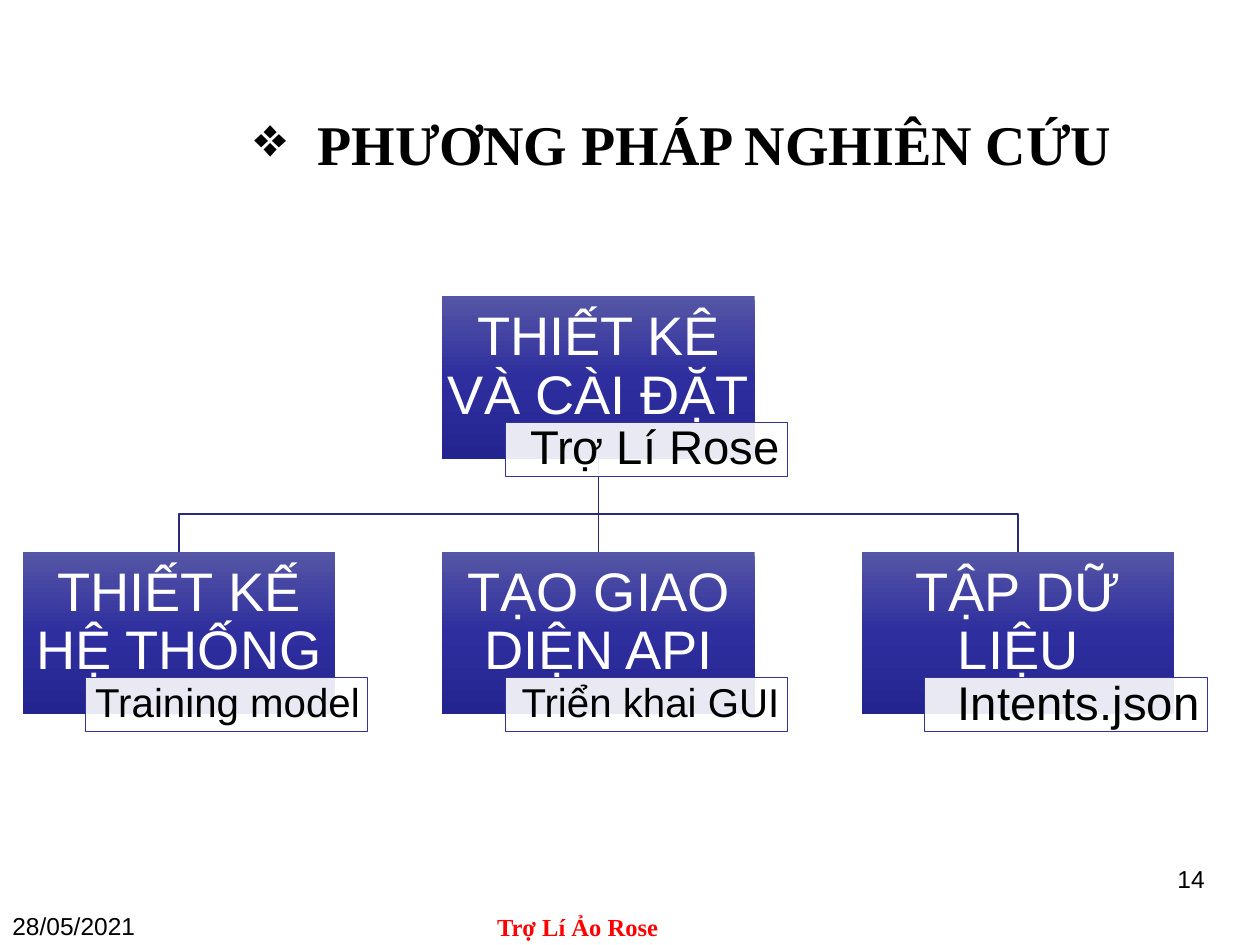
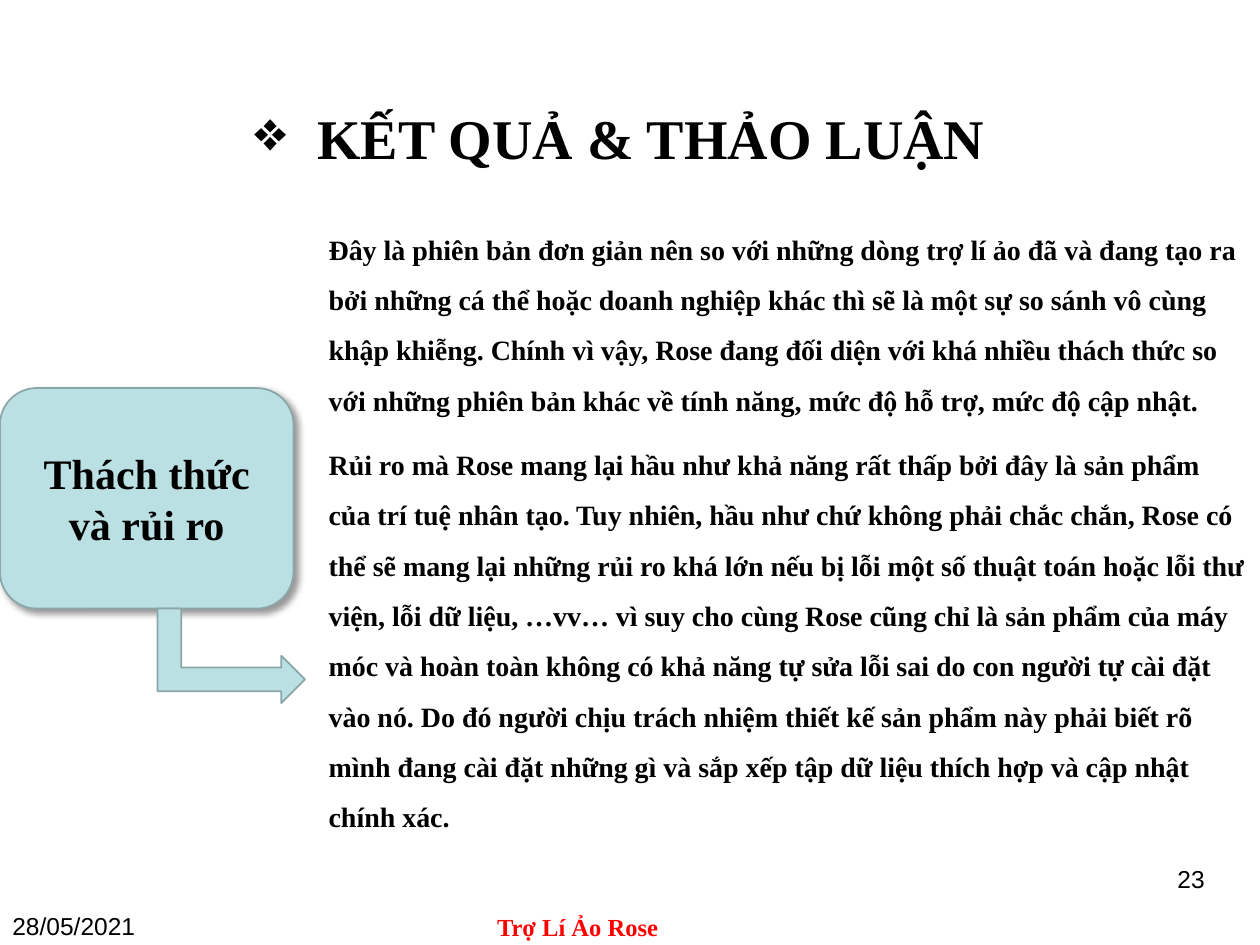
"""Build two slides on a virtual assistant: method tree and discussion."""
from pptx import Presentation
from pptx.dml.color import RGBColor
from pptx.enum.shapes import MSO_CONNECTOR, MSO_SHAPE
from pptx.enum.text import MSO_ANCHOR, PP_ALIGN
from pptx.oxml import parse_xml
from pptx.oxml.ns import nsdecls, qn
from pptx.util import Inches, Pt

RECT, ROUND, BENT = MSO_SHAPE.RECTANGLE, MSO_SHAPE.ROUNDED_RECTANGLE, MSO_SHAPE.BENT_UP_ARROW
STRAIGHT = MSO_CONNECTOR.STRAIGHT
TOP, MIDDLE = MSO_ANCHOR.TOP, MSO_ANCHOR.MIDDLE
LEFT, CENTER, RIGHT = PP_ALIGN.LEFT, PP_ALIGN.CENTER, PP_ALIGN.RIGHT

BLACK = RGBColor(0, 0, 0)
WHITE = RGBColor(255, 255, 255)
RED = RGBColor(255, 0, 0)
NAVY = RGBColor(0x33, 0x33, 0x99)
WIRE = RGBColor(0x29, 0x29, 0x7B)
AQUA = RGBColor(0xBB, 0xE0, 0xE3)
EDGE = RGBColor(0x8A, 0xA6, 0xA8)
FADE = ((0, RGBColor(0x56, 0x56, 0xA6)), (50, RGBColor(0x2E, 0x2E, 0x9E)),
        (100, RGBColor(0x24, 0x24, 0x91)))

COLS, ROWS = 10, 7.5
WIDE, HIGH = Inches(10), Inches(7.5)
COL, ROW = WIDE / COLS, HIGH / ROWS

SANS, SERIF = "Arial", "Times New Roman"
TITLE = {"name": SERIF, "size": Pt(32), "bold": True}
NOTE = {"name": SANS, "size": Pt(14)}
BRAND = {"name": SERIF, "size": Pt(14), "bold": True}
BODY = {"name": SERIF, "size": Pt(16), "bold": True}
CARD = {"name": SERIF, "size": Pt(24), "bold": True}
NODE = {"name": SANS, "size": Pt(31)}

DATE, NAME = "28/05/2021", "Trợ Lí Ảo Rose"
PITCH, NODE_W, NODE_H = 3.33, 2.48, 1.29
FALL, BUS = 2.03, 0.3
ROOT = ("THIẾT KÊ VÀ CÀI ĐẶT", "Trợ Lí Rose", 27)
LEAVES = (("THIẾT KẾ HỆ THỐNG", "Training model", 23),
          ("TẠO GIAO DIỆN API", "Triển khai GUI", 23),
          ("TẬP DỮ LIỆU", "Intents.json", 27))
POINTS = (
    "Đây là phiên bản đơn giản nên so với những dòng trợ lí ảo đã và đang tạo ra "
    "bởi những cá thể hoặc doanh nghiệp khác thì sẽ là một sự so sánh vô cùng khập "
    "khiễng. Chính vì vậy, Rose đang đối diện với khá nhiều thách thức so với những "
    "phiên bản khác về tính năng, mức độ hỗ trợ, mức độ cập nhật.",
    "Rủi ro mà Rose mang lại hầu như khả năng rất thấp bởi đây là sản phẩm của trí "
    "tuệ nhân tạo. Tuy nhiên, hầu như chứ không phải chắc chắn, Rose có thể sẽ mang "
    "lại những rủi ro khá lớn nếu bị lỗi một số thuật toán hoặc lỗi thư viện, lỗi dữ "
    "liệu, …vv… vì suy cho cùng Rose cũng chỉ là sản phẩm của máy móc và hoàn toàn "
    "không có khả năng tự sửa lỗi sai do con người tự cài đặt vào nó. Do đó người "
    "chịu trách nhiệm thiết kế sản phẩm này phải biết rõ mình đang cài đặt những gì "
    "và sắp xếp tập dữ liệu thích hợp và cập nhật chính xác.",
)


def xml(tag, inner, attrs=""):
    """Return a drawing element with the given content."""
    return parse_xml(f"<a:{tag} {nsdecls('a')} {attrs}>{inner}</a:{tag}>")


def place(box):
    """Turn a box of columns and rows into slide lengths."""
    x, y, w, h = box
    return int(x * COL), int(y * ROW), int(w * COL), int(h * ROW)


def write(shape, lines, style, color=BLACK, align=LEFT, anchor=TOP, pads=None, **form):
    """Fill a shape with paragraphs in one style."""
    frame = shape.text_frame
    frame.word_wrap = True
    frame.vertical_anchor = anchor
    for side, pad in zip(("left", "top", "right", "bottom"), pads or ()):
        setattr(frame, f"margin_{side}", Inches(pad))
    for i, line in enumerate(lines):
        para = frame.add_paragraph() if i else frame.paragraphs[0]
        for key, value in {"alignment": align, **form}.items():
            setattr(para, key, value)
        run = para.add_run()
        run.text = line
        for key, value in style.items():
            setattr(run.font, key, value)
        run.font.color.rgb = color


def label(slide, box, lines, style, **form):
    """Add a text box and return it."""
    text = slide.shapes.add_textbox(*place(box))
    write(text, lines, style, **form)
    return text


def block(slide, kind, box, fill=None, line=None, width=1):
    """Add a flat shape with a plain fill and outline."""
    shape = slide.shapes.add_shape(kind, *place(box))
    shape.shadow.inherit = False
    if fill is not None:
        shape.fill.solid()
        shape.fill.fore_color.rgb = fill
    if line is None:
        shape.line.fill.background()
    else:
        shape.line.color.rgb = line
        shape.line.width = Pt(width)
    return shape


def frame(deck, title, top, high, page):
    """Add a slide with its title, date, name and page number."""
    slide = deck.slides.add_slide(deck.slide_layouts[6])
    head = label(slide, (1.92, top, 7.75, high), [title], TITLE, anchor=MIDDLE)
    props = head.text_frame.paragraphs[0]._p.get_or_add_pPr()
    for key, value in {"marL": 0.5, "indent": -0.5}.items():
        props.set(key, str(Inches(value)))
    props.append(xml("buChar", "", 'char="❖"'))
    label(slide, (0, 7.18, 2.83, 0.3), [DATE], NOTE)
    label(slide, (3, 7.19, 3.17, 0.29), [NAME], BRAND, color=RED, align=CENTER)
    label(slide, (7.33, 6.81, 2.33, 0.61), [page], NOTE, align=RIGHT)
    return slide


def node(slide, x, y, text, tag, size):
    """Draw a shaded box with a small tag over its lower right corner."""
    base = block(slide, RECT, (x, y, NODE_W, NODE_H))
    stops = "".join(f'<a:gs pos="{pos * 1000}"><a:srgbClr val="{tone}"/></a:gs>'
                    for pos, tone in FADE)
    fade = xml("gradFill", f'<a:gsLst>{stops}</a:gsLst><a:lin ang="5400000" scaled="0"/>')
    base._element.spPr.find(qn("a:prstGeom")).addnext(fade)
    write(base, [text], NODE, WHITE, CENTER, MIDDLE, (0.02, 0.02, 0.02, 0.18),
          line_spacing=0.9)
    mark = block(slide, RECT, (x + 0.5, y + 1, 2.24, 0.43), WHITE, NAVY, 0.5)
    tone = mark._element.spPr.find(qn("a:solidFill"))[0]
    tone.append(xml("alpha", "", 'val="90000"'))
    write(mark, [tag], {"name": SANS, "size": Pt(size)}, BLACK, RIGHT, MIDDLE,
          (0.06, 0.02, 0.06, 0.02), line_spacing=0.9)


def wire(slide, start, end):
    """Join a parent to a child, stepping sideways where needed."""
    (x, y), (to, low) = start, end
    bend = low - BUS
    spots = [(int(a * COL), int(b * ROW)) for a, b in
             ((x, y), (x, bend), (to, bend), (to, low))]
    if x == to:
        path = slide.shapes.add_connector(STRAIGHT, *spots[0], *spots[-1])
        path._element.spPr.append(xml("effectLst", ""))
    else:
        build = slide.shapes.build_freeform(*spots[0])
        build.add_line_segments(spots[1:], close=False)
        path = build.convert_to_shape()
        path.shadow.inherit = False
        path.fill.background()
    path.line.color.rgb = WIRE
    path.line.width = Pt(1)


def tree(slide, x, y):
    """Draw the root, its wires and a row of leaves from a corner."""
    mid = x + PITCH
    spots = [x + i * PITCH for i in range(len(LEAVES))]
    for left in reversed(spots):
        wire(slide, (mid + NODE_W / 2, y + NODE_H), (left + NODE_W / 2, y + FALL))
    node(slide, mid, y, *ROOT)
    for left, leaf in zip(spots, LEAVES):
        node(slide, left, y + FALL, *leaf)


def card(slide, x, y):
    """Draw the topic card and the bent arrow below it."""
    topic = block(slide, ROUND, (x, y, 2.33, 1.75), AQUA, EDGE)
    shade = xml("outerShdw", '<a:srgbClr val="000000"><a:alpha val="40000"/></a:srgbClr>',
                'blurRad="50800" dist="38100" dir="2700000" algn="tl" rotWithShape="0"')
    topic._element.spPr.find(qn("a:effectLst")).append(shade)
    write(topic, ["Thách thức và rủi ro"], CARD, BLACK, CENTER, MIDDLE)
    return block(slide, BENT, (x + 1.46, y + 1.54, 0.75, 1.17), AQUA, EDGE)


def main():
    """Build and save the deck."""
    deck = Presentation()
    deck.slide_width, deck.slide_height = WIDE, HIGH
    method = frame(deck, "PHƯƠNG PHÁP NGHIÊN CỨU", 0.92, 0.43, "14")
    tree(method, 0.18, 2.35)
    result = frame(deck, "KẾT QUẢ & THẢO LUẬN", 0.83, 0.51, "23")
    arrow = card(result, 0, 3.08)
    arrow.rotation = 90
    label(result, (2.51, 1.66, 7.49, 5.44), POINTS, BODY,
          line_spacing=1.5, space_after=Pt(8))
    deck.save("out.pptx")


if __name__ == "__main__":
    main()
